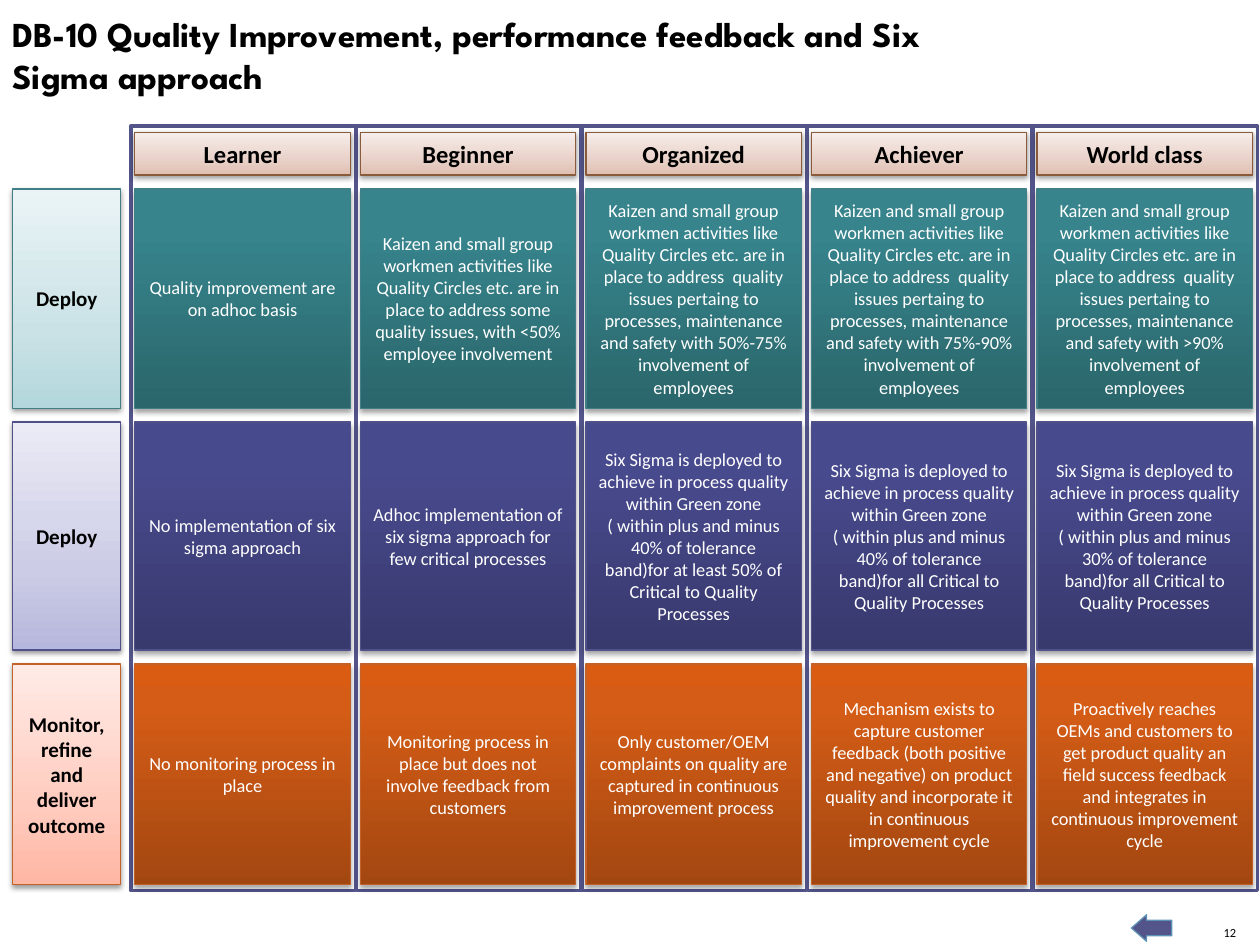
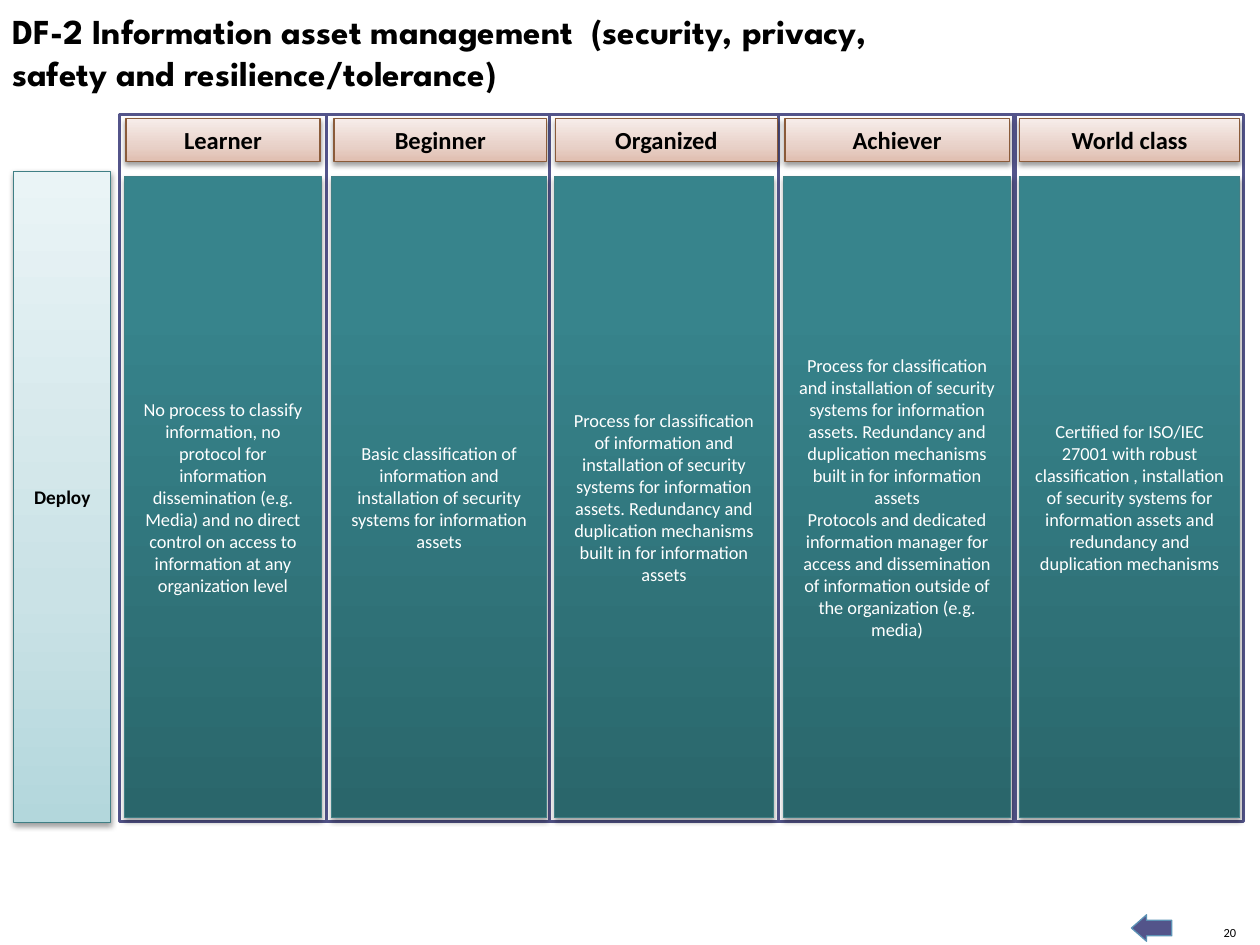
from collections import namedtuple
from lxml.etree import SubElement as Sub
from pptx import Presentation
from pptx.dml.color import RGBColor as RGB
from pptx.enum.shapes import MSO_SHAPE as SHAPE
from pptx.enum.text import MSO_ANCHOR as ANCHOR, PP_ALIGN as ALIGN
from pptx.oxml.ns import qn
from pptx.util import Inches, Pt

BLACK = RGB(0, 0, 0)
WHITE = RGB(255, 255, 255)
INDIGO = RGB(0x53, 0x54, 0x8A)
STEEL = RGB(0x5C, 0x92, 0xB5)
TEAL = RGB(0x40, 0x7F, 0x85)
VIOLET = RGB(0x50, 0x51, 0x88)
RUST = RGB(0xC3, 0x62, 0x28)
BROWN = RGB(0x8A, 0x5B, 0x3A)

BODY = "Calibri"
DISPLAY = "League Spartan"

Look = namedtuple("Look", "stops edge ink size bold alpha drop")


def pale(colors, edge, size=12):
    """Return the look of a light heading box."""
    return Look(list(zip((0, 35, 100), colors)), edge, BLACK, size, True, 38, 1.6)


def deep(colors, edge):
    """Return the look of a dark cell."""
    return Look(list(zip((0, 80, 100), colors)), edge, WHITE, 10.5, False, 35, 1.8)


HEAD = pale(("E0BEB0", "E8D1C8", "F7EDEA"), BROWN, 14)
TEAL_TAG = pale(("B3D7DC", "CAE2E6", "EAF4F6"), TEAL)
VIOLET_TAG = pale(("B6B7DC", "CCCCE6", "EBEBF6"), VIOLET)
RUST_TAG = pale(("FFB6A3", "FFCBBE", "FFEBE6"), RUST)
TEAL_CELL = deep(("2A666B", "37848C", "36868E"), TEAL)
VIOLET_CELL = deep(("38396D", "484A8E", "474990"), VIOLET)
RUST_CELL = deep(("A34711", "D45C16", "D95C12"), RUST)

LEVELS = ["Learner", "Beginner", "Organized", "Achiever", "World class"]

KAIZEN = ("Kaizen and small group workmen activities like Quality Circles etc. "
          "are in place to address ")
SHARE = (KAIZEN + " quality issues pertaing to processes, maintenance and safety "
         "with {} involvement of employees")
SIGMA = ("Six Sigma is deployed to achieve in process quality within Green zone "
         "( within plus and minus {} of tolerance band)for {}Critical to Quality "
         "Processes")
ASSETS = ("installation of security systems for information assets. Redundancy and "
          "duplication mechanisms built in for information assets")

KAIZEN_ROW = [
    "Quality improvement are on adhoc basis",
    KAIZEN + "some quality issues, with <50% employee involvement",
    SHARE.format("50%-75%"),
    SHARE.format("75%-90%"),
    SHARE.format(">90%"),
]
SIGMA_ROW = [
    "No implementation of six sigma approach",
    "Adhoc implementation of six sigma approach for few critical processes",
    SIGMA.format("40%", "at least 50% of "),
    SIGMA.format("40%", "all "),
    SIGMA.format("30%", "all "),
]
MONITOR_ROW = [
    "No monitoring process in place",
    "Monitoring process in place but does not involve feedback from customers",
    "Only customer/OEM complaints on quality are captured in continuous "
    "improvement process",
    "Mechanism exists to capture customer feedback (both positive and negative) "
    "on product quality and incorporate it in continuous improvement cycle",
    "Proactively reaches OEMs and customers to get product quality an field "
    "success feedback and integrates in continuous improvement cycle",
]
ASSET_ROW = [
    "No process to classify information, no protocol for information "
    "dissemination (e.g. Media) and no direct control on access to information "
    "at any organization level",
    "Basic classification of information and installation of security systems "
    "for information assets",
    "Process for classification of information and " + ASSETS,
    "Process for classification and " + ASSETS + "\n"
    "Protocols and dedicated information manager for access and dissemination "
    "of information outside of the organization (e.g. media)",
    "Certified for ISO/IEC 27001 with robust classification , installation of "
    "security systems for information assets and redundancy and duplication "
    "mechanisms",
]


def write(frame, text, size, ink, font=BODY, bold=False, align=ALIGN.CENTER):
    """Fill a text frame with one run per line of text."""
    for i, line in enumerate(text.split("\n")):
        para = frame.add_paragraph() if i else frame.paragraphs[0]
        para.alignment = align
        run = para.add_run()
        run.text = line
        run.font.name = font
        run.font.size = Pt(size)
        run.font.bold = bold
        run.font.color.rgb = ink


def add_shape(slide, kind, box, edge, width):
    """Add an outlined shape without a shadow."""
    shape = slide.shapes.add_shape(kind, *map(Inches, box))
    shape.line.color.rgb = edge
    shape.line.width = Pt(width)
    shape.shadow.inherit = False
    return shape


def add_solid(slide, kind, box, fill, edge, width):
    """Add a shape with a plain fill."""
    shape = add_shape(slide, kind, box, edge, width)
    shape.fill.solid()
    shape.fill.fore_color.rgb = fill
    return shape


def shade(shape, stops):
    """Give a shape a gradient that rises from its bottom edge."""
    shape.fill.gradient()
    shape.fill.gradient_angle = 90
    ramp = shape._element.spPr.find(qn("a:gradFill")).find(qn("a:gsLst"))
    for old in list(ramp):
        ramp.remove(old)
    for pos, color in stops:
        stop = Sub(ramp, qn("a:gs"), pos=str(pos * 1000))
        Sub(stop, qn("a:srgbClr"), val=color)


def cast(shape, alpha, drop):
    """Give a shape a soft black shadow below it."""
    effects = shape._element.spPr.find(qn("a:effectLst"))
    outer = Sub(effects, qn("a:outerShdw"), blurRad=str(Pt(3.1)),
                dist=str(Pt(drop)), dir="5400000", rotWithShape="0")
    color = Sub(outer, qn("a:srgbClr"), val="000000")
    Sub(color, qn("a:alpha"), val=str(alpha * 1000))


def add_card(slide, box, text, look):
    """Add a shaded box with centred text."""
    card = add_shape(slide, SHAPE.RECTANGLE, box, look.edge, 0.75)
    shade(card, look.stops)
    cast(card, look.alpha, look.drop)
    frame = card.text_frame
    frame.word_wrap = True
    frame.vertical_anchor = ANCHOR.MIDDLE
    write(frame, text, look.size, look.ink, bold=look.bold)


def add_frames(slide, spans, top, height):
    """Add the white column frames."""
    for left, width in spans:
        add_solid(slide, SHAPE.RECTANGLE, (left, top, width, height), WHITE, INDIGO, 2)


def add_row(slide, spans, top, height, texts, look):
    """Add one card per column."""
    for (left, width), text in zip(spans, texts):
        add_card(slide, (left, top, width, height), text, look)


def add_base(deck, title, top, width, number):
    """Add a slide with its title, back arrow and page number."""
    slide = deck.slides.add_slide(deck.slide_layouts[6])
    page = slide.shapes.add_textbox(*map(Inches, (9.69, 7.34, 0.12, 0.12))).text_frame
    page.margin_left = page.margin_right = page.margin_top = page.margin_bottom = 0
    page.word_wrap = False
    page.vertical_anchor = ANCHOR.BOTTOM
    write(page, str(number), 7.1, BLACK, align=ALIGN.RIGHT)
    arrow = add_solid(slide, SHAPE.RIGHT_ARROW, (8.98, 7.26, 0.32, 0.21),
                      INDIGO, STEEL, 0.75)
    arrow.rotation = 180
    arrow.adjustments[0] = 0.59
    arrow.adjustments[1] = 0.57
    head = slide.shapes.add_textbox(*map(Inches, (0, top, width, 0.77))).text_frame
    head.word_wrap = True
    write(head, title, 20, BLACK, DISPLAY, True, ALIGN.LEFT)
    return slide


def add_quality(deck):
    """Add the quality improvement grid."""
    slide = add_base(deck, "DB-10 Quality Improvement, performance feedback and "
                     "Six Sigma approach", 0.05, 7.7, 12)
    step = 1.79
    spans = [(1.07 + step * i, 1.71) for i in range(len(LEVELS))]
    rows = [
        (1.5, 1.74, "Deploy", TEAL_TAG, KAIZEN_ROW, TEAL_CELL),
        (3.35, 1.81, "Deploy", VIOLET_TAG, SIGMA_ROW, VIOLET_CELL),
        (5.27, 1.75, "Monitor, refine and deliver outcome", RUST_TAG,
         MONITOR_ROW, RUST_CELL),
    ]
    add_frames(slide, [(left - 0.03, 1.78) for left, _ in spans], 1, 6.07)
    for top, height, name, tag, texts, cell in rows:
        add_card(slide, (0.1, top, 0.86, height), name, tag)
        add_row(slide, spans, top, height, texts, cell)
    add_row(slide, spans, 1.05, 0.34, LEVELS, HEAD)


def add_assets(deck):
    """Add the information asset grid."""
    slide = add_base(deck, "DF-2 Information asset management  (security, privacy, "
                     "safety and resilience/tolerance)", 0.03, 7.66, 20)
    frames = [(0.95, 1.64), (2.59, 1.79), (4.36, 1.82), (6.18, 1.87), (8.06, 1.81)]
    heads = [(1, 1.54), (2.65, 1.69), (4.41, 1.76), (6.23, 1.78), (8.09, 1.75)]
    cells = [(0.99, 1.56), (2.63, 1.71), (4.4, 1.74), (6.22, 1.8), (8.09, 1.75)]
    add_frames(slide, frames, 0.91, 5.61)
    add_row(slide, heads, 0.94, 0.34, LEVELS, HEAD)
    add_row(slide, cells, 1.4, 5.09, ASSET_ROW, TEAL_CELL)
    add_card(slide, (0.11, 1.36, 0.77, 5.17), "Deploy", TEAL_TAG._replace(size=11))


def main():
    """Build and save the deck."""
    deck = Presentation()
    deck.slide_width = Inches(10)
    deck.slide_height = Inches(7.5)
    add_quality(deck)
    add_assets(deck)
    deck.save("out.pptx")


if __name__ == "__main__":
    main()
